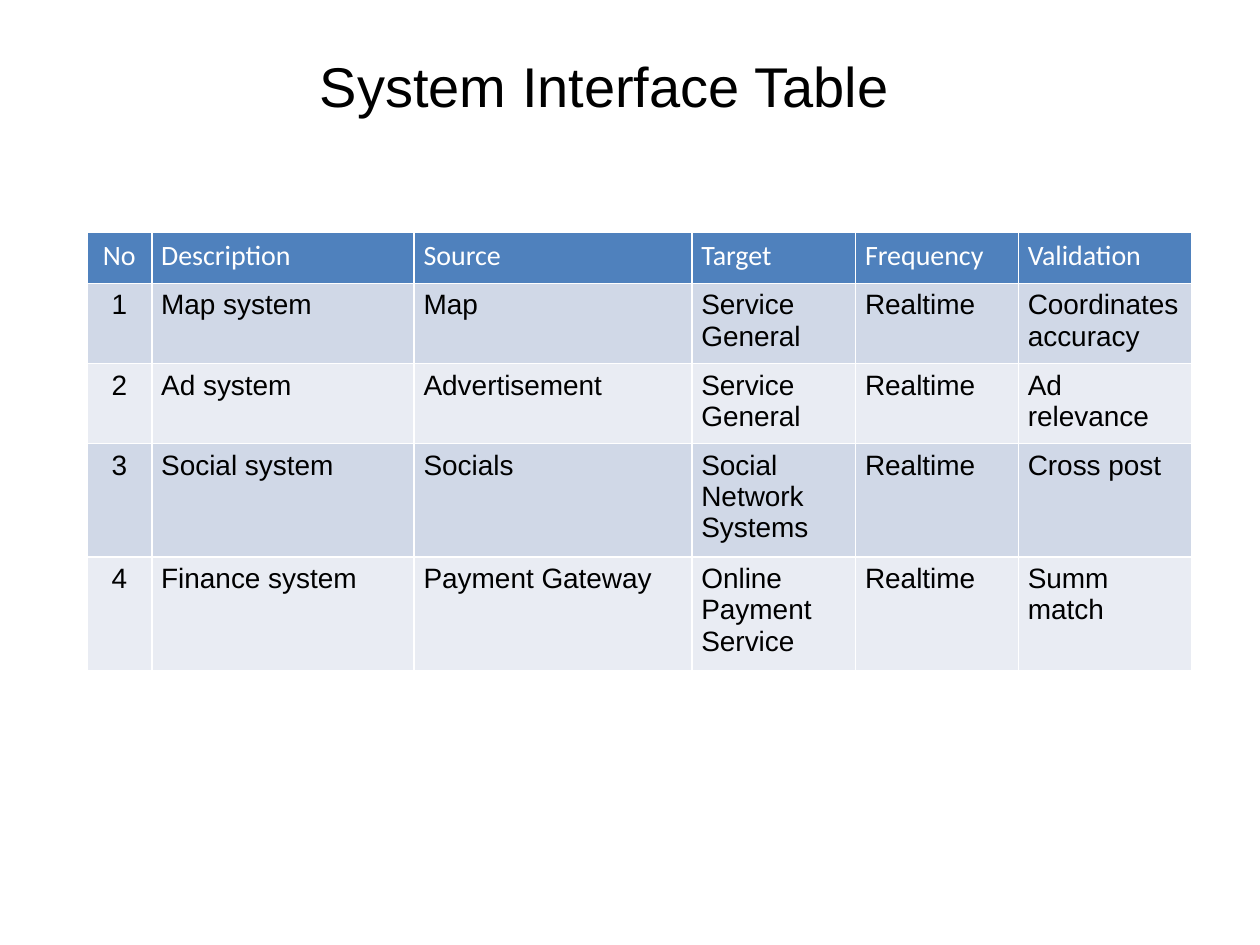
from lxml.etree import SubElement
from pptx import Presentation
from pptx.dml.color import RGBColor
from pptx.enum.text import MSO_AUTO_SIZE as AutoSize, PP_ALIGN as Align
from pptx.oxml.ns import qn
from pptx.util import Cm, Pt


def color(value):
    return RGBColor.from_string(value)


def write(frame, text, size=16, font="Arial", ink="000000", align=Align.LEFT):
    paragraph = frame.paragraphs[0]
    paragraph.alignment = align
    run = paragraph.add_run()
    run.text = text
    run.font.size = Pt(size)
    run.font.name = font
    run.font.bold = False
    run.font.color.rgb = color(ink)


class InterfaceSlide:
    header_fill = "4F81BD"
    band_fills = ("D0D8E7", "E9ECF3")
    border = "FFFFFF"
    border_width = Pt(0.96)

    def __init__(self, deck):
        self.slide = deck.slides.add_slide(deck.slide_layouts[6])

    def title(self, text, left, top, width, height):
        box = self.slide.shapes.add_textbox(Cm(left), Cm(top), Cm(width), Cm(height))
        box.text_frame.word_wrap = True
        box.text_frame.auto_size = AutoSize.SHAPE_TO_FIT_TEXT
        write(box.text_frame, text, size=32)

    def outline(self, cell):
        properties = cell._tc.get_or_add_tcPr()
        for position, side in enumerate(("lnL", "lnR", "lnT", "lnB")):
            line = SubElement(properties, qn(f"a:{side}"), w=str(self.border_width))
            fill = SubElement(line, qn("a:solidFill"))
            SubElement(fill, qn("a:srgbClr"), val=self.border)
            properties.insert(position, line)

    def table(self, records, left, top, widths, heights):
        grid = self.slide.shapes.add_table(
            len(records), len(widths), Cm(left), Cm(top),
            Cm(sum(widths)), Cm(sum(heights))).table
        for column, width in zip(grid.columns, widths):
            column.width = Cm(width)
        for row, height in zip(grid.rows, heights):
            row.height = Cm(height)

        for r, record in enumerate(records):
            fill = self.band_fills[(r - 1) % 2] if r else self.header_fill
            style = {} if r else {"font": "Calibri", "ink": "FFFFFF"}
            for c, text in enumerate(record):
                cell = grid.cell(r, c)
                cell.margin_left = cell.margin_right = Cm(0.19)
                cell.margin_top = cell.margin_bottom = Cm(0.13)
                cell.fill.solid()
                cell.fill.fore_color.rgb = color(fill)
                self.outline(cell)
                write(cell.text_frame, text,
                      align=Align.LEFT if c else Align.CENTER, **style)


deck = Presentation()
deck.slide_width, deck.slide_height = Cm(25.4), Cm(19.05)
page = InterfaceSlide(deck)

# Heading
page.title("System Interface Table", 6.2, 0.91, 14.33, 1.6)

# System interfaces
interfaces = [
    ("No", "Description", "Source", "Target", "Frequency", "Validation"),
    ("1", "Map system", "Map", "Service General", "Realtime", "Coordinates accuracy"),
    ("2", "Ad system", "Advertisement", "Service General", "Realtime", "Ad relevance"),
    ("3", "Social system", "Socials", "Social Network Systems", "Realtime", "Cross post"),
    ("4", "Finance system", "Payment Gateway", "Online Payment Service", "Realtime",
     "Summ match"),
]
page.table(interfaces, 1.75, 4.69,
           widths=(1.31, 5.29, 5.6, 3.3, 3.28, 3.5),
           heights=(1.02, 1.61, 1.61, 2.28, 2.28))

deck.save("out.pptx")
